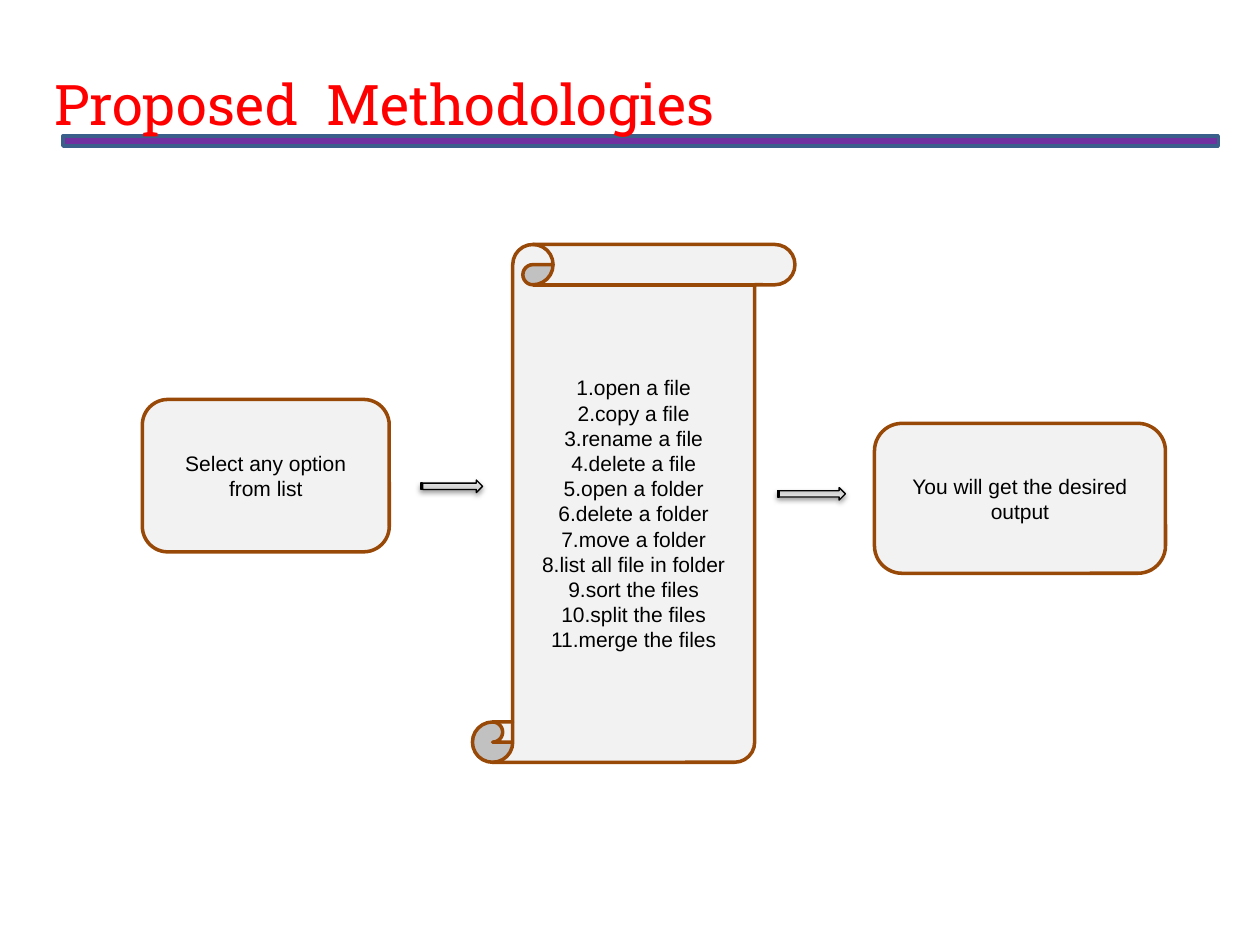
import copy
from dataclasses import dataclass

import pptx
import pptx.dml.color
import pptx.enum.shapes
import pptx.enum.text
import pptx.oxml
import pptx.oxml.ns
import pptx.util

Inches = pptx.util.Inches
Pt = pptx.util.Pt
RGB = pptx.dml.color.RGBColor.from_string
Shapes = pptx.enum.shapes.MSO_SHAPE
Align = pptx.enum.text.PP_ALIGN
Anchor = pptx.enum.text.MSO_ANCHOR
qn = pptx.oxml.ns.qn


@dataclass(frozen=True)
class Theme:
    title_font: str = "Roboto Slab"
    body_font: str = "Arial"
    title_size: int = 32
    body_size: int = 12
    title: str = "FF0000"
    text: str = "000000"
    bar: str = "7030A0"
    bar_line: str = "3A5F8B"
    step: str = "F2F2F2"
    step_line: str = "984807"
    arrow_line: str = "000000"
    arrow_stops: tuple = ((0, "BDBDBD"), (0.35, "D1D1D1"), (1, "EEEEEE"))


@dataclass(frozen=True)
class Box:
    left: float
    top: float
    width: float
    height: float

    def lengths(self) -> tuple:
        return tuple(Inches(v) for v in (self.left, self.top, self.width, self.height))


@dataclass(frozen=True)
class Step:
    kind: int
    box: Box
    adjustment: float
    lines: tuple


@dataclass(frozen=True)
class Arrow:
    box: Box
    flipped: bool = False


THEME = Theme()
ACTIONS = (
    "open a file", "copy a file", "rename a file", "delete a file",
    "open a folder", "delete a folder", "move a folder",
    "list all file in folder", "sort the files", "split the files",
    "merge the files",
)
STEPS = (
    Step(Shapes.ROUNDED_RECTANGLE, Box(1.13, 3.17, 1.96, 1.21), 0.167,
         ("Select any option from list",)),
    Step(Shapes.VERTICAL_SCROLL, Box(3.75, 1.94, 2.56, 4.11), 0.125,
         tuple(f"{number}.{action}" for number, action in enumerate(ACTIONS, 1))),
    Step(Shapes.ROUNDED_RECTANGLE, Box(6.94, 3.36, 2.31, 1.19), 0.184,
         ("You will get the desired output",)),
)
ARROWS = (
    Arrow(Box(3.34, 3.81, 0.49, 0.1)),
    Arrow(Box(6.17, 3.87, 0.54, 0.1), flipped=True),
)
SHADOW = (
    '<a:outerShdw xmlns:a="http://schemas.openxmlformats.org/drawingml/2006/main" '
    f'blurRad="{Pt(3.1)}" dist="{Pt(1.6)}" dir="5400000" rotWithShape="0">'
    '<a:srgbClr val="000000"><a:alpha val="38000"/></a:srgbClr></a:outerShdw>'
)


def add_text(paragraph, text: str, font: str, size: int, color: str) -> None:
    run = paragraph.add_run()
    run.text = text
    run.font.name = font
    run.font.size = Pt(size)
    run.font.color.rgb = RGB(color)


def add_outlined(slide, kind: int, box: Box, line: str, width: float):
    shape = slide.shapes.add_shape(kind, *box.lengths())
    shape.shadow.inherit = False
    shape.line.color.rgb = RGB(line)
    shape.line.width = Pt(width)
    return shape


def add_filled(slide, kind: int, box: Box, fill: str, line: str):
    shape = add_outlined(slide, kind, box, line, 2)
    shape.fill.solid()
    shape.fill.fore_color.rgb = RGB(fill)
    return shape


def add_title(slide, text: str) -> None:
    title = slide.shapes.title
    title.left, title.top, title.width, title.height = Box(0.33, 0.5, 6.42, 0.64).lengths()
    frame = title.text_frame
    frame.word_wrap = True
    frame.auto_size = pptx.enum.text.MSO_AUTO_SIZE.SHAPE_TO_FIT_TEXT
    frame.vertical_anchor = Anchor.TOP
    paragraph = frame.paragraphs[0]
    paragraph.alignment = Align.LEFT
    add_text(paragraph, text, THEME.title_font, THEME.title_size, THEME.title)


def add_bar(slide) -> None:
    bar = add_filled(slide, Shapes.RECTANGLE, Box(0.5, 1.08, 9.17, 0.08),
                     THEME.bar, THEME.bar_line)
    slide.shapes.title.element.addprevious(bar.element)


def add_step(slide, step: Step) -> None:
    shape = add_filled(slide, step.kind, step.box, THEME.step, THEME.step_line)
    shape.adjustments[0] = step.adjustment
    frame = shape.text_frame
    frame.word_wrap = True
    frame.vertical_anchor = Anchor.MIDDLE
    for index, line in enumerate(step.lines):
        paragraph = frame.add_paragraph() if index else frame.paragraphs[0]
        paragraph.alignment = Align.CENTER
        add_text(paragraph, line, THEME.body_font, THEME.body_size, THEME.text)


def add_arrow(slide, arrow: Arrow) -> None:
    shape = add_outlined(slide, Shapes.STRIPED_RIGHT_ARROW, arrow.box,
                         THEME.arrow_line, 0.75)
    shape.fill.gradient()
    shape.fill.gradient_angle = 90
    properties = shape.element.spPr
    stop_list = properties.find(".//" + qn("a:gsLst"))
    stop_list.append(copy.deepcopy(stop_list[-1]))
    for stop, (position, color) in zip(shape.fill.gradient_stops, THEME.arrow_stops):
        stop.position = position
        stop.color.rgb = RGB(color)
    properties.find(qn("a:effectLst")).append(pptx.oxml.parse_xml(SHADOW))
    if arrow.flipped:
        properties.find(qn("a:xfrm")).set("flipV", "1")


def main() -> None:
    presentation = pptx.Presentation()
    presentation.slide_width = Inches(10)
    presentation.slide_height = Inches(7.5)
    slide = presentation.slides.add_slide(presentation.slide_layouts[5])
    add_title(slide, "Proposed  Methodologies")
    add_bar(slide)
    for step in STEPS:
        add_step(slide, step)
    for arrow in ARROWS:
        add_arrow(slide, arrow)
    presentation.save("out.pptx")


main()
